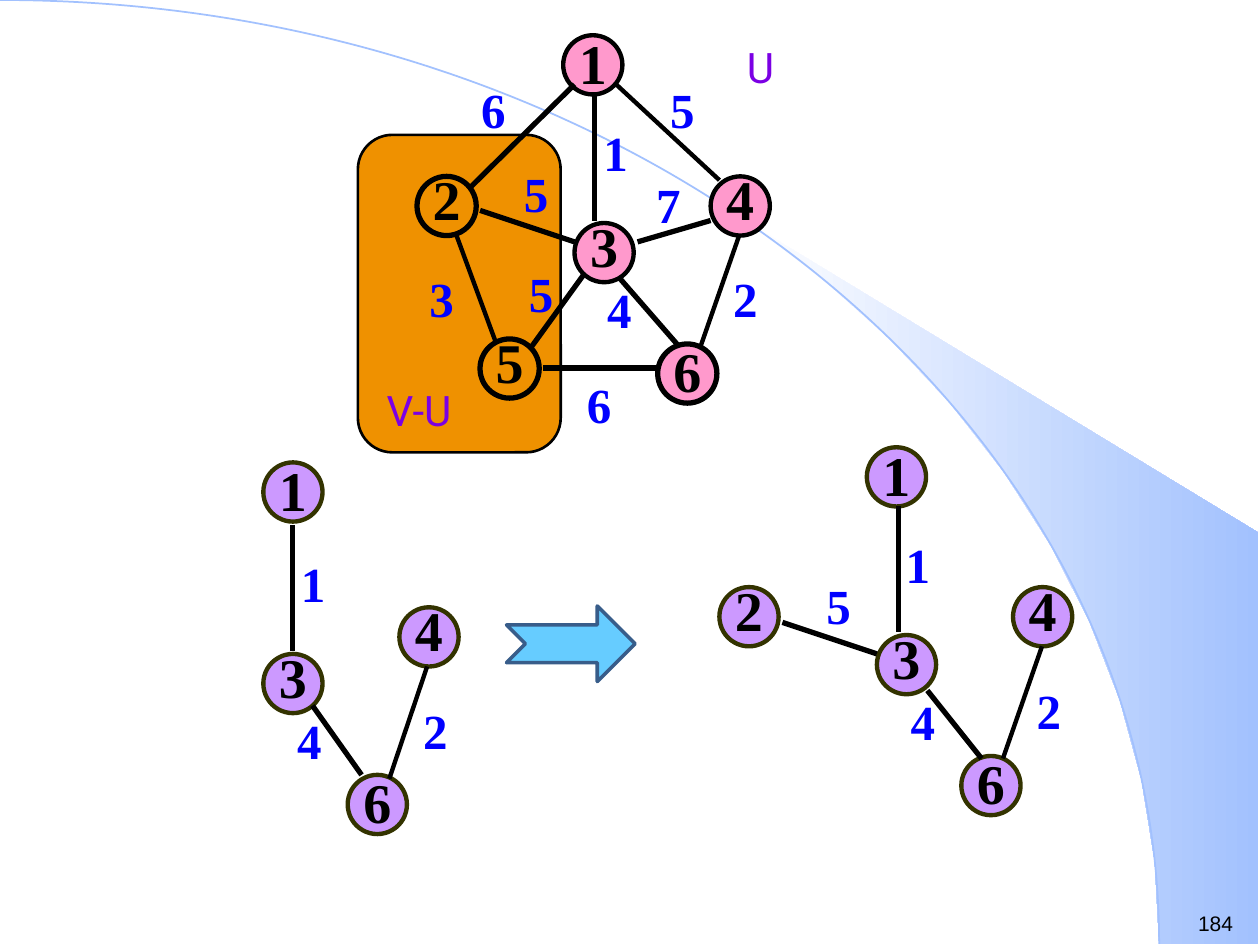
from math import cos, radians, sin

from lxml import etree
from pptx import Presentation
from pptx import util as u
from pptx.dml.color import RGBColor
from pptx.enum import shapes, text
from pptx.oxml import ns

THEME = {
    "black": "000000", "weight": "0000FF", "set_name": "7B00E4",
    "chosen": "FF99CC", "tree": "CC99FF", "tree_line": "333300",
    "rest": "EF9100", "arrow": "66CCFF", "arrow_line": "385D8A",
    "curve": "A2C1FE", "white": "FFFFFF",
    "serif": "Times New Roman", "sans": "Arial", "label": "Roboto",
    "node_size": 32, "weight_size": 28, "set_size": 24, "number_size": 12,
}
Inches = u.Inches


def write(box, words, font="serif", size="node_size", color="black", bold=False,
          align=text.PP_ALIGN.LEFT, margins=(0.1, 0.05, 0.1, 0.05), wrap=True):
    frame = box.text_frame
    frame.word_wrap = wrap
    frame.auto_size = text.MSO_AUTO_SIZE.NONE
    frame.vertical_anchor = text.MSO_ANCHOR.MIDDLE
    frame.margin_left, frame.margin_top, frame.margin_right, frame.margin_bottom = map(Inches, margins)
    para = frame.paragraphs[0]
    para.alignment = align
    span = para.add_run()
    span.text = words
    span.font.name = THEME[font]
    span.font.size = u.Pt(THEME[size])
    span.font.bold = bold
    span.font.color.rgb = RGBColor.from_string(THEME[color])


def paint(shape, fill=None, line=None, width=1):
    shape.shadow.inherit = False
    if fill:
        shape.fill.solid()
        shape.fill.fore_color.rgb = RGBColor.from_string(THEME[fill])
    else:
        shape.fill.background()
    if line:
        shape.line.color.rgb = RGBColor.from_string(THEME[line])
        shape.line.width = u.Pt(width)
    else:
        shape.line.fill.background()


deck = Presentation()
deck.slide_width, deck.slide_height = Inches(10), Inches(7.5)
page = deck.slides.add_slide(deck.slide_layouts[6])

rim = [(9.2 * sin(radians(a)), 7.49 * (1 - cos(radians(a)))) for a in range(40, 91, 5)]
corners = [(Inches(x), Inches(y)) for x, y in rim + [(9.99, 7.49), (9.99, 4.23)]]
builder = page.shapes.build_freeform(*corners[0])
builder.add_line_segments(corners[1:], close=True)
swoosh = builder.convert_to_shape()
paint(swoosh)
swoosh.fill.gradient()
swoosh.fill.gradient_angle = 0
for stop, color in zip(swoosh.fill.gradient_stops, ("white", "curve")):
    stop.color.rgb = RGBColor.from_string(THEME[color])

builder = page.shapes.build_freeform(0, 0)
builder.add_line_segments([(Inches(9.2), Inches(7.49))], close=False)
curve = builder.convert_to_shape()
paint(curve, line="curve")
segment = next(curve.element.iter(ns.qn("a:lnTo")))
segment.tag = ns.qn("a:cubicBezTo")
for index, (x, y) in enumerate([(5.08, 0), (9.2, 3.35)]):
    handle = etree.Element(ns.qn("a:pt"), x=str(Inches(x)), y=str(Inches(y)))
    segment.insert(index, handle)

number = page.shapes.add_textbox(Inches(9.41), Inches(7.18), Inches(0.59), Inches(0.3))
write(number, "184", font="sans", size="number_size")

rest = page.shapes.add_shape(shapes.MSO_SHAPE.ROUNDED_RECTANGLE,
                             Inches(2.84), Inches(1.07), Inches(1.61), Inches(2.52))
rest.adjustments[0] = 0.17
paint(rest, "rest", "black", 1.5)

new_tree = {
    "line": "tree_line",
    "nodes": [("2", 5.71, 4.66, "tree", 2.5), ("1", 6.88, 3.55, "tree", 2.5),
              ("6", 7.63, 6, "tree", 2.5), ("4", 8.04, 4.66, "tree", 2.5),
              ("3", 6.96, 5.04, "tree", 2.5)],
    "edges": [(8.27, 5.13, 7.96, 6.02, 2.5), (7.13, 4.02, 7.13, 5.02, 3),
              (7.36, 5.48, 7.79, 6.02, 3), (6.21, 4.94, 6.96, 5.19, 3)],
    "weights": [("4", 7.13, 5.44), ("5", 6.46, 4.52), ("2", 8.13, 5.35), ("1", 7.09, 4.19)],
}
graph = {
    "line": "black",
    "nodes": [("2", 3.31, 1.4, None, 3), ("1", 4.47, 0.28, "chosen", 2.5),
              ("5", 3.81, 2.69, None, 3), ("6", 5.22, 2.73, "chosen", 3),
              ("4", 5.64, 1.4, "chosen", 2.5), ("3", 4.56, 1.77, "chosen", 2.5)],
    "edges": [(4.56, 0.67, 3.72, 1.5, 3), (4.89, 0.67, 5.71, 1.43, 2.5),
              (3.62, 1.86, 3.94, 2.73, 2.5), (4.31, 2.92, 5.22, 2.92, 3),
              (5.87, 1.86, 5.56, 2.75, 2.5), (4.72, 0.75, 4.72, 1.75, 3),
              (4.64, 2.17, 4.22, 2.75, 3), (4.92, 2.21, 5.39, 2.75, 3),
              (5.06, 1.92, 5.64, 1.75, 3), (3.81, 1.67, 4.56, 1.92, 3)],
    "weights": [("4", 4.72, 2.17), ("3", 3.31, 2.08), ("6", 3.72, 0.58), ("5", 5.22, 0.58),
                ("5", 4.1, 2.04), ("5", 4.06, 1.25), ("6", 4.56, 2.92), ("2", 5.72, 2.08),
                ("1", 4.69, 0.92), ("7", 5.11, 1.33)],
}
old_tree = {
    "line": "tree_line",
    "nodes": [("1", 2.09, 3.67, "tree", 2.5), ("6", 2.76, 6.15, "tree", 2.5),
              ("4", 3.17, 4.82, "tree", 2.5), ("3", 2.09, 5.19, "tree", 2.5)],
    "edges": [(3.39, 5.29, 3.09, 6.18, 2.5), (2.32, 4.17, 2.32, 5.17, 3),
              (2.48, 5.6, 2.87, 6.15, 3)],
    "weights": [("4", 2.26, 5.59), ("2", 3.26, 5.51), ("1", 2.29, 4.34)],
}

for network in (new_tree, graph, old_tree):
    group = page.shapes.add_group_shape()
    for name, left, top, fill, width in network["nodes"]:
        node = group.shapes.add_shape(shapes.MSO_SHAPE.OVAL, Inches(left), Inches(top),
                                      Inches(0.47), Inches(0.47))
        paint(node, fill, network["line"], width)
        lift = 0.05 if name in "16" else 0.12
        write(node, name, bold=True, align=text.PP_ALIGN.CENTER,
              margins=(0, 0, 0, lift), wrap=False)
    for x1, y1, x2, y2, width in network["edges"]:
        edge = group.shapes.add_connector(shapes.MSO_CONNECTOR.STRAIGHT, Inches(x1), Inches(y1),
                                          Inches(x2), Inches(y2))
        edge.line.color.rgb = RGBColor.from_string(THEME["black"])
        edge.line.width = u.Pt(width)
        etree.SubElement(edge.element.spPr, ns.qn("a:effectLst"))
    for value, left, top in network["weights"]:
        box = group.shapes.add_textbox(Inches(left), Inches(top), Inches(0.5), Inches(0.57))
        write(box, value, size="weight_size", color="weight", bold=True)

for name, left, top, width in (("U", 5.83, 0.28, 0.67), ("V-U", 2.97, 3, 1)):
    box = page.shapes.add_textbox(Inches(left), Inches(top), Inches(width), Inches(0.5))
    write(box, name, font="label", size="set_size", color="set_name")

arrow = page.shapes.add_shape(shapes.MSO_SHAPE.NOTCHED_RIGHT_ARROW,
                              Inches(4.02), Inches(4.81), Inches(1.02), Inches(0.6))
paint(arrow, "arrow", "arrow_line", 2)

deck.save("out.pptx")
